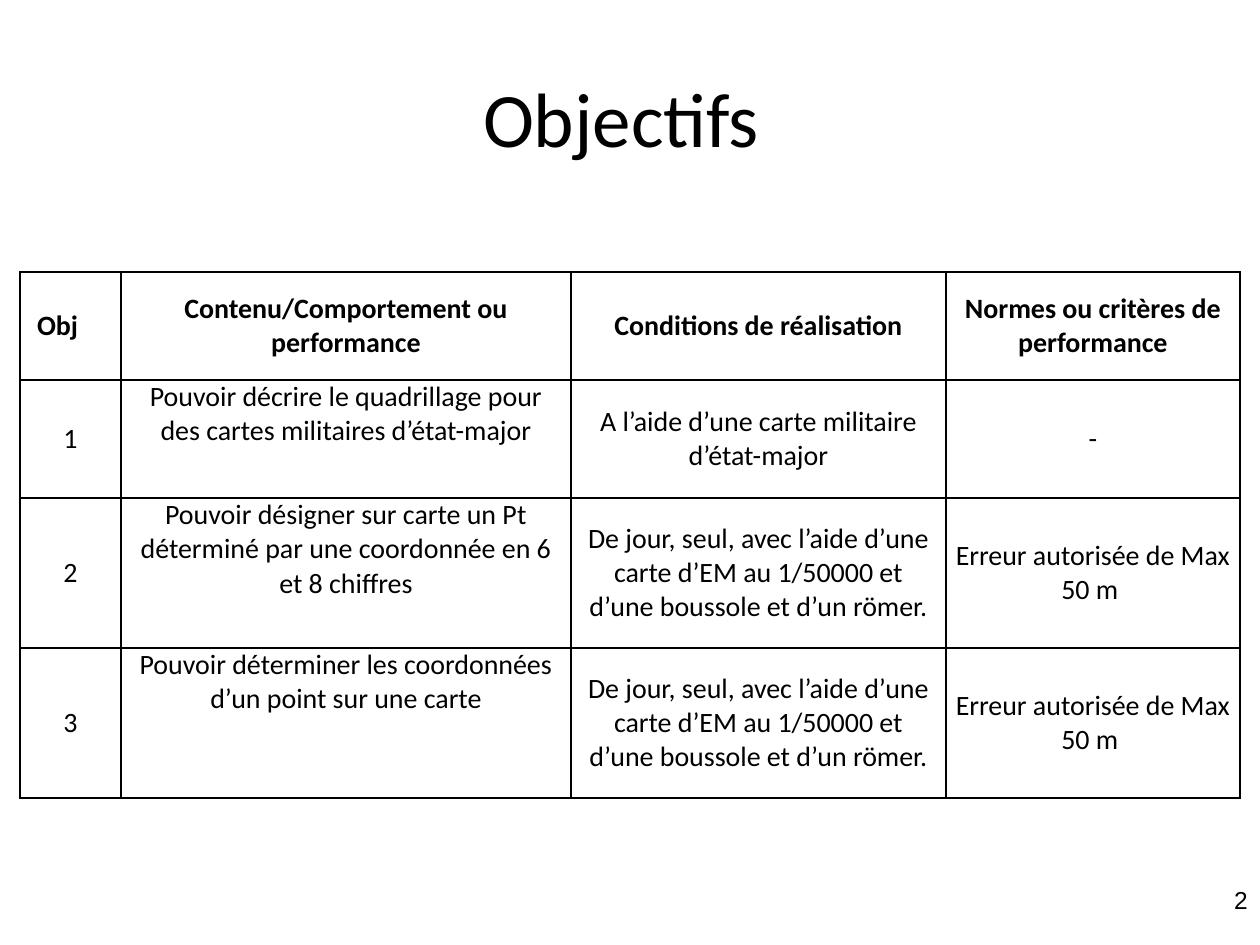
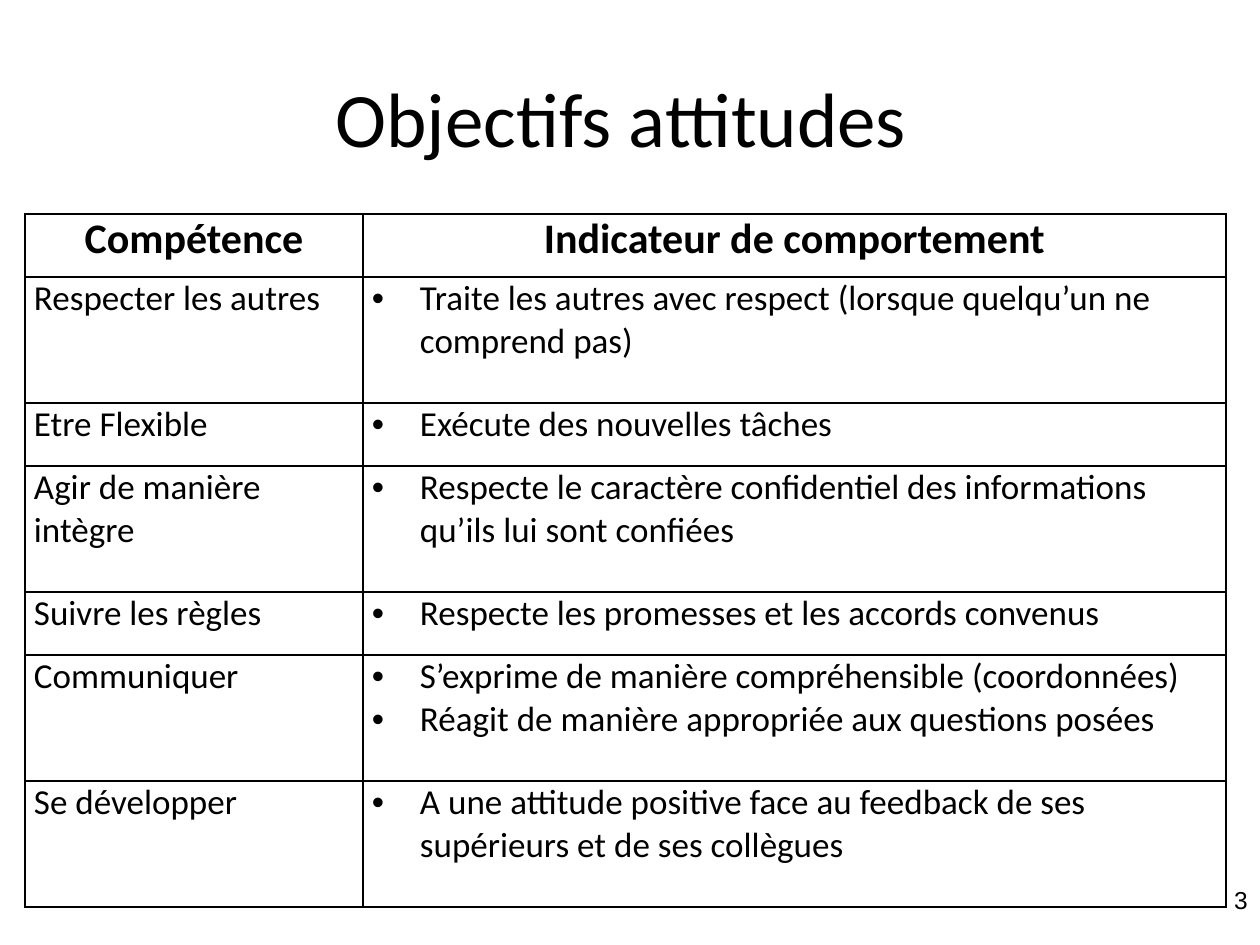
from lxml.etree import SubElement
from pptx import Presentation
from pptx.dml.color import RGBColor
from pptx.enum.text import MSO_ANCHOR, PP_ALIGN
from pptx.oxml.ns import qn
from pptx.util import Pt

BLACK = RGBColor(0, 0, 0)
WHITE = RGBColor(255, 255, 255)
BODY_FONT = "Calibri"
NUMBER_FONT = "Arial"
CELL_MARGIN = 9
BULLET_INDENT = 48
SMALL_ROW = 63


def px(length):
    return round(length * 914400 / 126)


def write(paragraph, text, size, alignment, bold=False, font_name=BODY_FONT):
    paragraph.alignment = alignment
    run = paragraph.add_run()
    run.text = text
    run.font.name = font_name
    run.font.size = Pt(size)
    run.font.bold = bold
    run.font.color.rgb = BLACK


conditions = "De jour, seul, avec l’aide d’une carte d’EM au 1/50000 et d’une boussole et d’un römer."
tolerance = "Erreur autorisée de Max 50 m "
objectives = [
    ["Obj", "Contenu/Comportement ou performance", "Conditions de réalisation",
     "Normes ou critères de performance"],
    ["1", "Pouvoir décrire le quadrillage pour des cartes militaires d’état-major",
     "A l’aide d’une carte militaire d’état-major", "-"],
    ["2", "Pouvoir désigner sur carte un Pt déterminé par une coordonnée en 6 et 8 chiffres",
     conditions, tolerance],
    ["3", "Pouvoir déterminer les coordonnées d’un point sur une carte", conditions, tolerance],
]
attitudes = [
    ["Compétence", "Indicateur de comportement"],
    ["Respecter les autres", "Traite les autres avec respect (lorsque quelqu’un ne comprend pas)"],
    ["Etre Flexible", "Exécute des nouvelles tâches"],
    ["Agir de manière intègre",
     "Respecte le caractère confidentiel des informations qu’ils lui sont confiées"],
    ["Suivre les règles", "Respecte les promesses et les accords convenus"],
    ["Communiquer", "S’exprime de manière compréhensible (coordonnées)\n"
                    "Réagit de manière appropriée aux questions posées"],
    ["Se développer",
     "A une attitude positive face au feedback de ses supérieurs et de ses collègues"],
]
pages = [
    ("Objectifs ", "2", objectives, 20, 272, [101, 450, 375, 294], [108, 118, 150, 150]),
    ("Objectifs attitudes ", "3", attitudes, 25, 214, [338, 863],
     [SMALL_ROW * units for units in (1, 2, 1, 2, 1, 2, 2)]),
]

presentation = Presentation()
presentation.slide_width = px(1260)
presentation.slide_height = px(945)

for title, number, rows, left, top, widths, heights in pages:
    slide = presentation.slides.add_slide(presentation.slide_layouts[6])
    slide.background.fill.solid()
    slide.background.fill.fore_color.rgb = WHITE

    number_box = slide.shapes.add_textbox(px(966), px(879), px(294), px(66))
    number_box.text_frame.word_wrap = True
    write(number_box.text_frame.paragraphs[0], number, 14, PP_ALIGN.RIGHT, font_name=NUMBER_FONT)

    title_box = slide.shapes.add_textbox(px(63), px(38), px(1134), px(158))
    title_box.text_frame.word_wrap = True
    title_box.text_frame.vertical_anchor = MSO_ANCHOR.MIDDLE
    write(title_box.text_frame.paragraphs[0], title, 44, PP_ALIGN.CENTER)

    table = slide.shapes.add_table(len(rows), len(widths), px(left), px(top),
                                   px(sum(widths)), px(sum(heights))).table
    table.first_row = False
    table.horz_banding = False
    for column, width in zip(table.columns, widths):
        column.width = px(width)
    for row, height in zip(table.rows, heights):
        row.height = px(height)

    is_objectives = rows is objectives
    for row_index, texts in enumerate(rows):
        is_header = row_index == 0
        for column_index, text in enumerate(texts):
            cell = table.cell(row_index, column_index)
            cell.margin_left = cell.margin_right = px(CELL_MARGIN)
            cell.margin_top = cell.margin_bottom = 0
            if text == "Obj":
                cell.margin_right = px(CELL_MARGIN + 26)
            is_middle = is_objectives and (is_header or column_index != 1)
            cell.vertical_anchor = MSO_ANCHOR.MIDDLE if is_middle else MSO_ANCHOR.TOP

            cell_properties = cell._tc.get_or_add_tcPr()
            for side in ("a:lnL", "a:lnR", "a:lnT", "a:lnB"):
                border = SubElement(cell_properties, qn(side), w=str(Pt(1)))
                border_fill = SubElement(border, qn("a:solidFill"))
                SubElement(border_fill, qn("a:srgbClr"), val=str(BLACK))
            cell.fill.solid()
            cell.fill.fore_color.rgb = WHITE

            size = 16 if is_objectives else 24 if is_header else 20
            alignment = PP_ALIGN.CENTER if is_objectives or is_header else PP_ALIGN.LEFT
            for line_index, line in enumerate(text.split("\n")):
                frame = cell.text_frame
                paragraph = frame.add_paragraph() if line_index else frame.paragraphs[0]
                write(paragraph, line, size, alignment, is_header)
                if is_objectives and (column_index > 0 or row_index < 2):
                    paragraph.space_before = Pt(6)
                if not is_objectives and not is_header and column_index == 1:
                    properties = paragraph._p.get_or_add_pPr()
                    properties.set("marL", str(px(BULLET_INDENT)))
                    properties.set("indent", str(-px(BULLET_INDENT)))
                    SubElement(properties, qn("a:buFont"), typeface=NUMBER_FONT)
                    SubElement(properties, qn("a:buChar"), char="•")

presentation.save("out.pptx")
